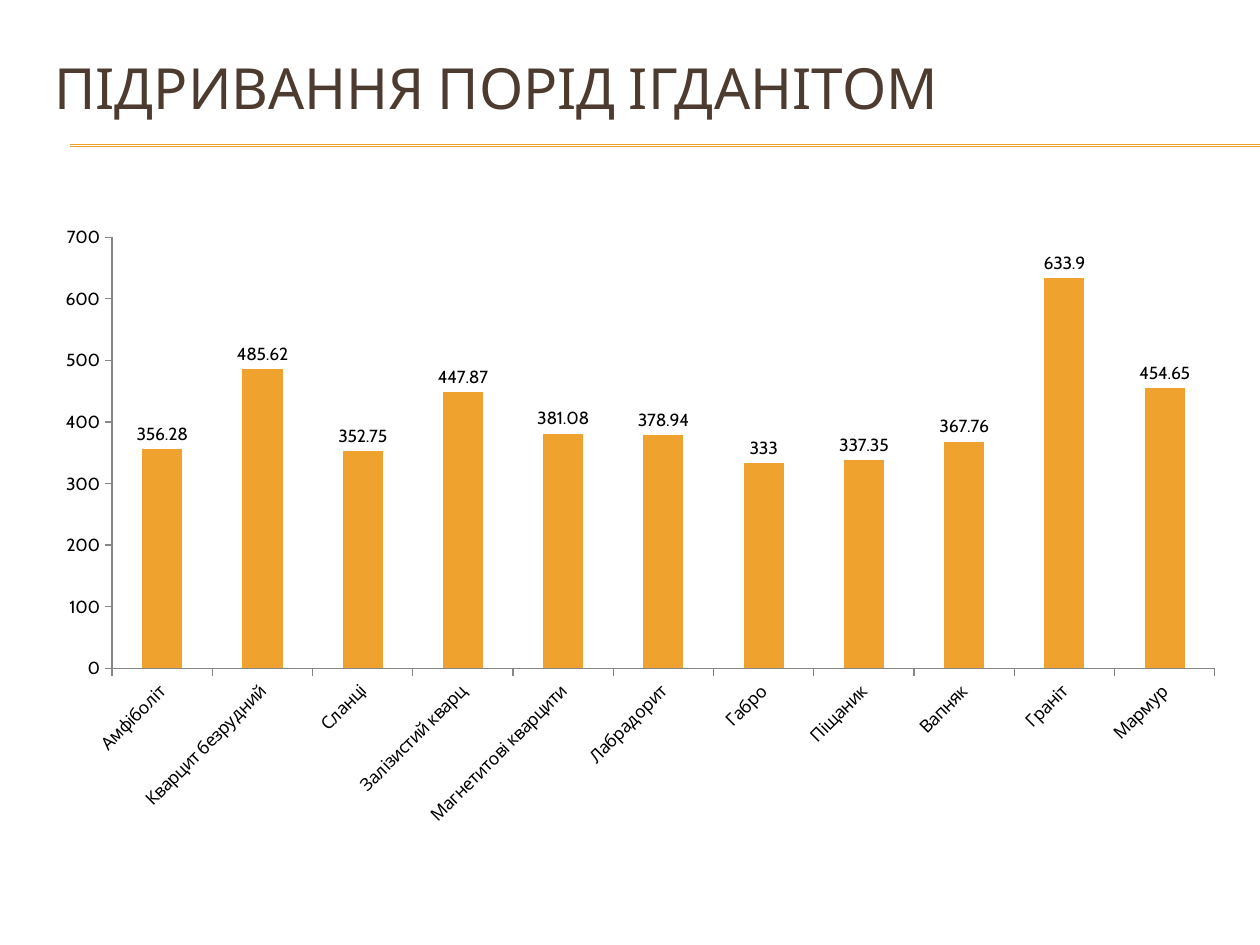
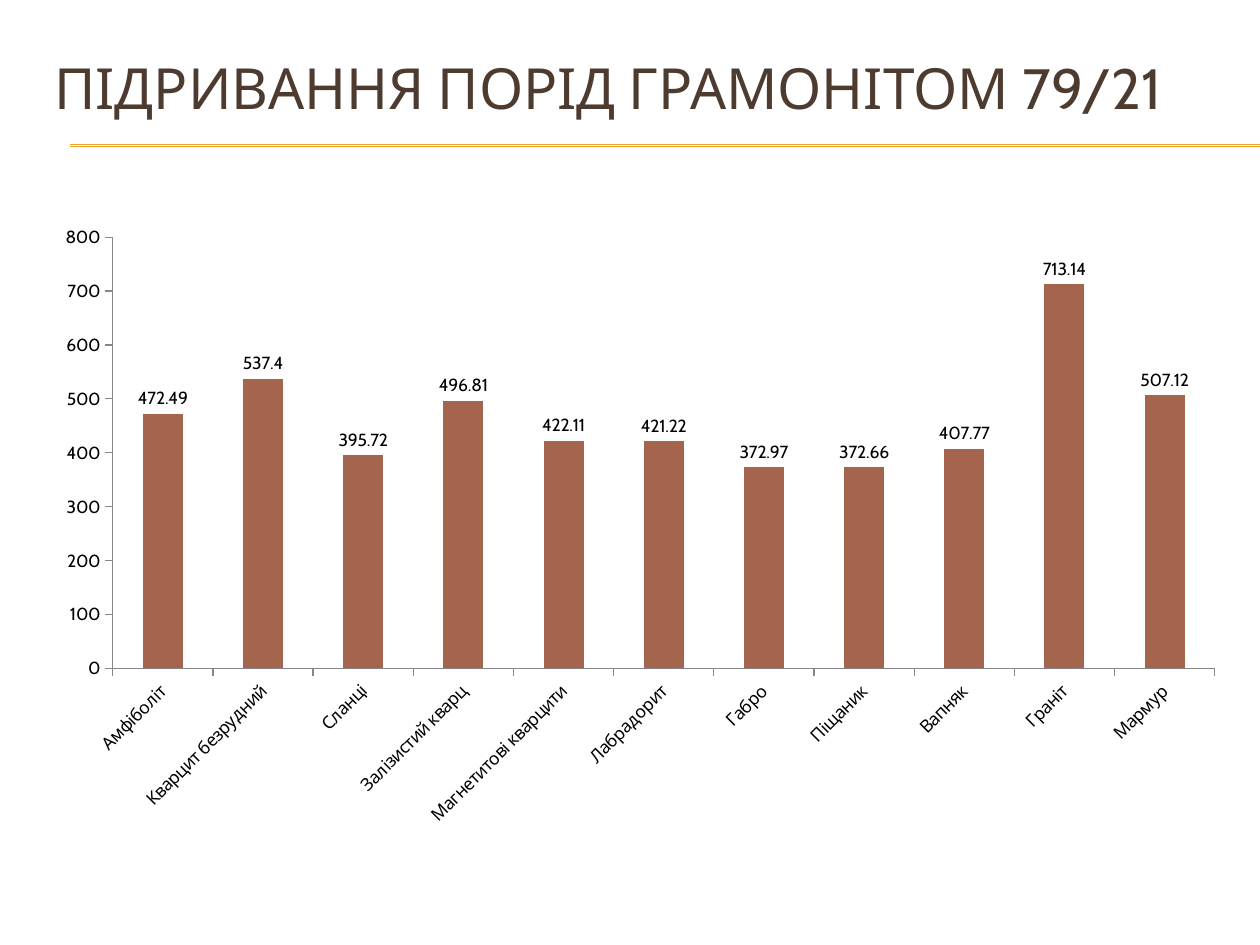
from dataclasses import dataclass

from pptx import Presentation
from pptx import util as u
from pptx.chart.data import CategoryChartData
from pptx.dml.color import RGBColor
from pptx.enum import chart as ch, shapes, text
from pptx.oxml.ns import qn

ROCKS = [
    "Амфіболіт", "Кварцит безрудний", "Сланці", "Залізистий кварц",
    "Магнетитові кварцити", "Лабрадорит", "Габро", "Піщаник", "Вапняк",
    "Граніт", "Мармур",
]
SLIDES = [
    {
        "title": "ПІДРИВАННЯ ПОРІД ІГДАНІТОМ",
        "values": [356.28, 485.62, 352.75, 447.87, 381.08, 378.94, 333,
                   337.35, 367.76, 633.9, 454.65],
        "color": "F0A22E",
        "maximum": 700,
    },
    {
        "title": "ПІДРИВАННЯ ПОРІД ГРАМОНІТОМ 79/21",
        "values": [472.49, 537.4, 395.72, 496.81, 422.11, 421.22, 372.97,
                   372.66, 407.77, 713.14, 507.12],
        "color": "A5644E",
        "maximum": 800,
    },
]


@dataclass(frozen=True)
class Theme:
    font: str = "Cabin"
    title_color: str = "4E3B30"
    rule_color: str = "F0A22E"
    axis_color: str = "868686"
    chart_text_color: str = "000000"
    title_size: float = 32.4
    chart_size: float = 10
    line_width: float = 0.75


THEME = Theme()
PAGE_WIDTH, PAGE_HEIGHT = u.Cm(25.4), u.Cm(19.05)
LEFT, WIDTH = u.Cm(0.84), u.Cm(24.13)
TITLE_TOP, TITLE_HEIGHT = u.Cm(0.58), u.Cm(2.34)
CHART_TOP, CHART_HEIGHT = u.Cm(4.32), u.Cm(12.57)
RULE_LEFT = u.Cm(1.42)
RULE_TOPS = [u.Cm(2.92), u.Cm(2.95)]


def set_all(target, values):
    for name, value in values.items():
        setattr(target, name, value)


def style_font(font, size, color):
    set_all(font, {"name": THEME.font, "size": u.Pt(size), "bold": False})
    font.color.rgb = RGBColor.from_string(color)


def style_line(line, color):
    line.color.rgb = RGBColor.from_string(color)
    line.width = u.Pt(THEME.line_width)


def add_rules(page):
    for top in RULE_TOPS:
        rule = page.shapes.add_connector(
            shapes.MSO_CONNECTOR.STRAIGHT, RULE_LEFT, top, PAGE_WIDTH, top)
        style_line(rule.line, THEME.rule_color)
        properties = rule._element.spPr
        properties.append(properties.makeelement(qn("a:effectLst"), {}))


def add_title(page, wording):
    box = page.shapes.add_textbox(LEFT, TITLE_TOP, WIDTH, TITLE_HEIGHT)
    set_all(box.text_frame, {
        "word_wrap": True, "vertical_anchor": text.MSO_ANCHOR.MIDDLE})
    span = box.text_frame.paragraphs[0].add_run()
    span.text = wording
    style_font(span.font, THEME.title_size, THEME.title_color)


def style_axes(chart, maximum):
    for axis in (chart.category_axis, chart.value_axis):
        set_all(axis, {
            "has_major_gridlines": False,
            "major_tick_mark": ch.XL_TICK_MARK.OUTSIDE,
            "minor_tick_mark": ch.XL_TICK_MARK.NONE,
        })
        style_line(axis.format.line, THEME.axis_color)
        style_font(axis.tick_labels.font, THEME.chart_size,
                   THEME.chart_text_color)
    set_all(chart.value_axis, {
        "minimum_scale": 0, "maximum_scale": maximum, "major_unit": 100})
    for body in chart._chartSpace.xpath(".//c:catAx/c:txPr/a:bodyPr"):
        body.set("rot", str(-45 * 60000))


def add_rock_chart(page, values, color, maximum):
    data = CategoryChartData()
    data.categories = ROCKS
    data.add_series("Series 1", values)
    chart = page.shapes.add_chart(
        ch.XL_CHART_TYPE.COLUMN_CLUSTERED, LEFT, CHART_TOP, WIDTH,
        CHART_HEIGHT, data).chart
    set_all(chart, {"has_title": False, "has_legend": False})
    style_font(chart.font, THEME.chart_size, THEME.chart_text_color)
    style_axes(chart, maximum)

    plot = chart.plots[0]
    set_all(plot, {
        "gap_width": 150, "vary_by_categories": False,
        "has_data_labels": True})
    set_all(plot.data_labels, {
        "show_value": True,
        "position": ch.XL_LABEL_POSITION.OUTSIDE_END})
    style_font(plot.data_labels.font, THEME.chart_size,
               THEME.chart_text_color)
    fill = plot.series[0].format.fill
    fill.solid()
    fill.fore_color.rgb = RGBColor.from_string(color)


def main():
    deck = Presentation()
    set_all(deck, {"slide_width": PAGE_WIDTH, "slide_height": PAGE_HEIGHT})
    for content in SLIDES:
        page = deck.slides.add_slide(deck.slide_layouts[6])
        add_rules(page)
        add_title(page, content["title"])
        add_rock_chart(page, content["values"], content["color"],
                       content["maximum"])
    deck.save("out.pptx")


if __name__ == "__main__":
    main()
